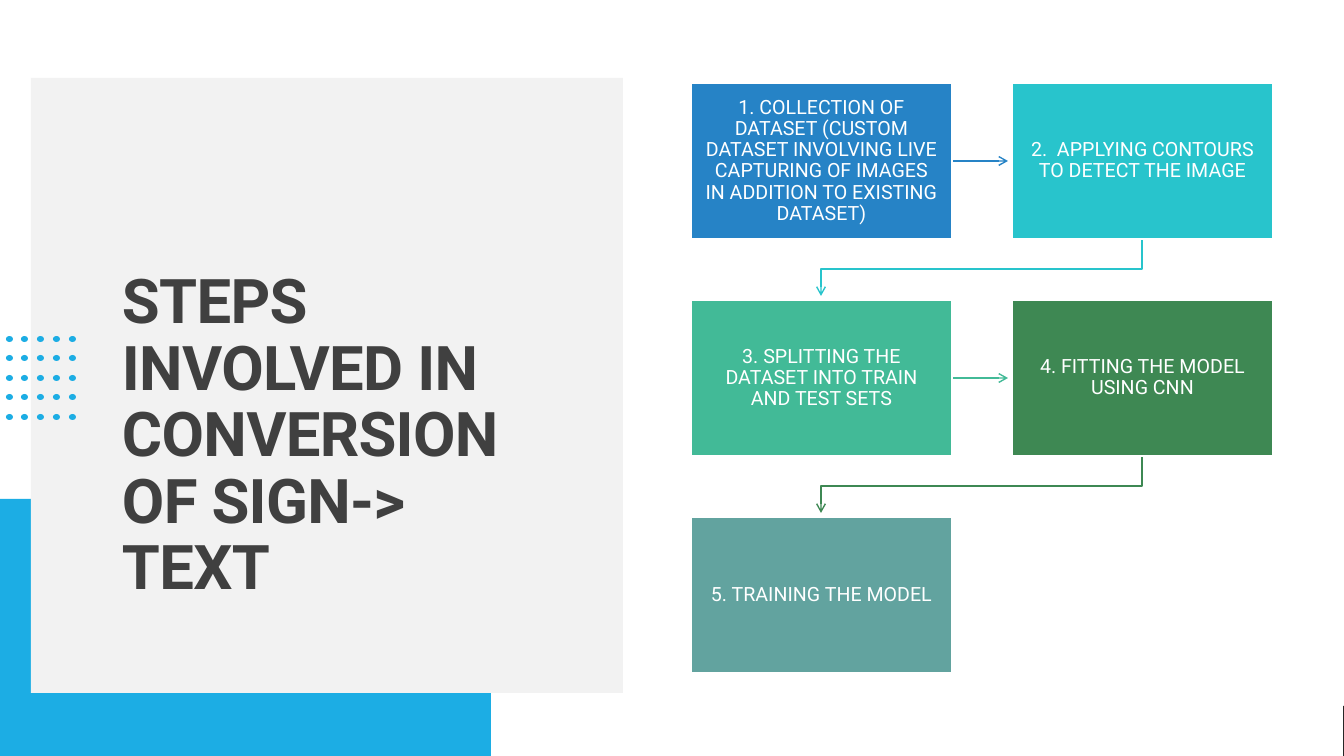
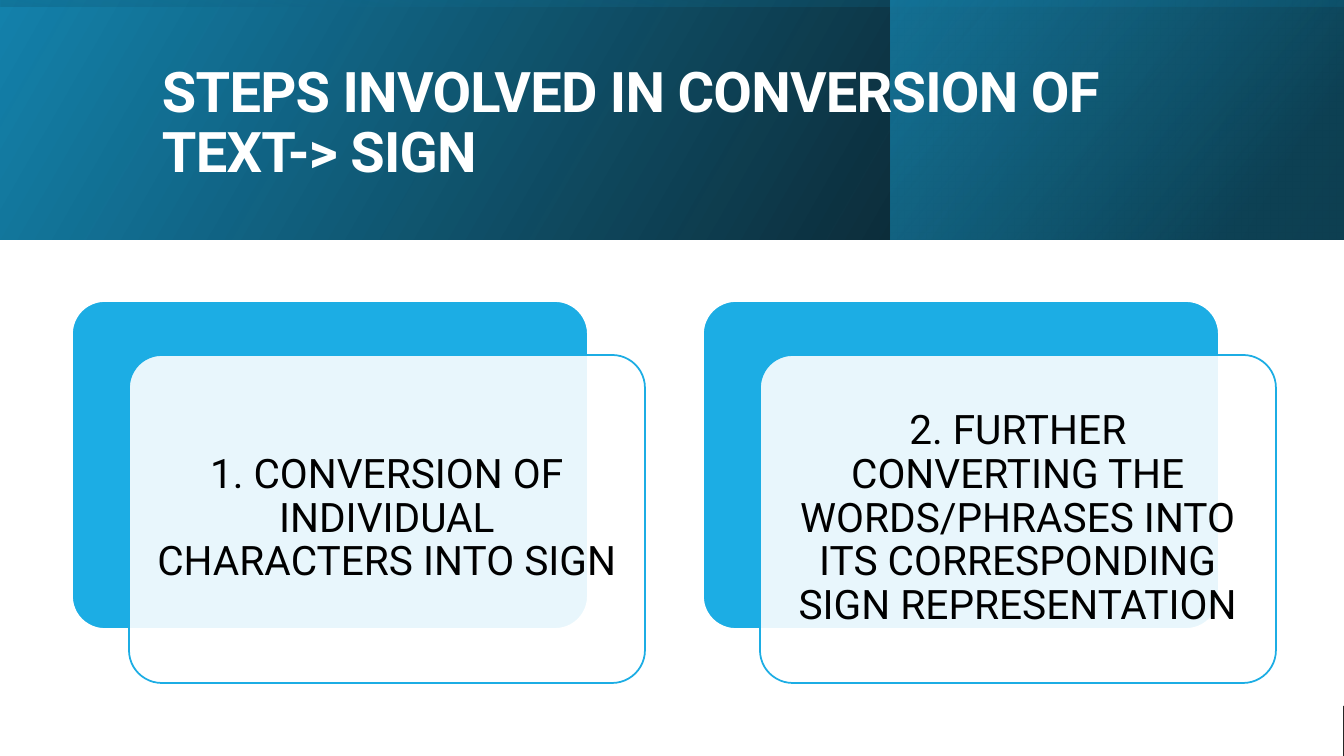
from itertools import product

from lxml.etree import SubElement
from pptx import Presentation
from pptx.dml.color import RGBColor
from pptx.enum.shapes import MSO_CONNECTOR, MSO_SHAPE
from pptx.enum.text import MSO_ANCHOR, PP_ALIGN
from pptx.oxml.ns import qn
from pptx.util import Emu, Pt

FONT = "Roboto"
SCALE = 914400 / 100.8
PAGE_WIDTH, PAGE_HEIGHT = 1344, 756
COLORS = {
    "white": "FFFFFF", "black": "000000", "footer": "262626", "panel": "F2F2F2",
    "title": "404040", "accent": "1CADE4", "deep": "1482AC", "teal": "0E5772",
    "blue": "2683C6", "cyan": "28C4CC", "mint": "42BA97", "green": "3E8853",
    "sage": "62A39F",
}
STEPS = [
    ("1. COLLECTION OF DATASET (CUSTOM DATASET INVOLVING LIVE CAPTURING OF IMAGES "
     "IN ADDITION TO EXISTING DATASET)", "blue"),
    ("2.\u00a0 APPLYING CONTOURS TO DETECT THE IMAGE".replace("\u00a0", chr(160)), "cyan"),
    ("3. SPLITTING THE DATASET INTO TRAIN AND TEST SETS", "mint"),
    ("4. FITTING THE MODEL USING CNN", "green"),
    ("5. TRAINING THE MODEL", "sage"),
]
CARDS = [
    "1. CONVERSION OF INDIVIDUAL CHARACTERS INTO SIGN",
    "2. FURTHER CONVERTING THE WORDS/PHRASES INTO ITS CORRESPONDING SIGN REPRESENTATION",
]


def px(length):
    """Turn px into EMU."""
    return Emu(round(length * SCALE))


def color(name):
    """Look up a named colour."""
    return RGBColor.from_string(COLORS[name])


def set_alpha(color_element, percent):
    """Make a colour element partly transparent."""
    SubElement(color_element, qn("a:alpha")).set("val", str(percent * 1000))


def add_box(page, box, fill, line=None, kind=MSO_SHAPE.RECTANGLE):
    """Add a flat preset shape."""
    shape = page.shapes.add_shape(kind, *map(px, box))
    shape.shadow.inherit = False
    shape.fill.solid()
    shape.fill.fore_color.rgb = color(fill)
    if line:
        shape.line.color.rgb = color(line)
        shape.line.width = Pt(1.25)
    else:
        shape.line.fill.background()
    return shape


def write(shape, text, size, ink, inset=(10, 5), anchor=MSO_ANCHOR.MIDDLE, align=PP_ALIGN.CENTER):
    """Write one wrapped paragraph into a shape and return its run."""
    frame = shape.text_frame
    frame.word_wrap = True
    frame.vertical_anchor = anchor
    frame.margin_left = frame.margin_right = px(inset[0])
    frame.margin_top = frame.margin_bottom = px(inset[1])
    para = frame.paragraphs[0]
    para.text = text
    para.alignment = align
    para.line_spacing = 0.9
    span = para.runs[0]
    span.font.name = FONT
    span.font.size = Pt(size)
    span.font.color.rgb = color(ink)
    return span


def add_title(page, box, text, size, ink, anchor):
    """Add a bold, slightly tightened title."""
    holder = page.shapes.add_textbox(*map(px, box))
    span = write(holder, text, size, ink, anchor=anchor, align=PP_ALIGN.LEFT)
    span.font.bold = True
    span.font._element.set("spc", "-50")


def add_page(deck):
    """Add a blank page with the footer band and its white cover."""
    page = deck.slides.add_slide(deck.slide_layouts[6])
    add_box(page, (0, 706, PAGE_WIDTH, 50), "footer")
    add_box(page, (0, 0, PAGE_WIDTH - 1, PAGE_HEIGHT), "white")
    return page


def style_arrow(arrow, ink):
    """Give a line its colour, width and open arrowhead."""
    arrow.line.color.rgb = color(ink)
    arrow.line.width = Pt(1)
    SubElement(arrow.line._get_or_add_ln(), qn("a:tailEnd")).set("type", "arrow")


def add_straight_arrow(page, start, end, ink):
    """Add a straight arrow between two points."""
    arrow = page.shapes.add_connector(MSO_CONNECTOR.STRAIGHT, *map(px, start + end))
    style_arrow(arrow, ink)
    SubElement(arrow._element.spPr, qn("a:effectLst"))


def add_bent_arrow(page, points, ink):
    """Add an arrow that follows the given corner points."""
    corners = [(px(x), px(y)) for x, y in points]
    builder = page.shapes.build_freeform(*corners[0])
    builder.add_line_segments(corners[1:], close=False)
    arrow = builder.convert_to_shape()
    arrow.fill.background()
    arrow.shadow.inherit = False
    style_arrow(arrow, ink)


def add_title_panel(page, box, text):
    """Add the grey title panel with its accent block and dot grid."""
    left, top, width, height = box
    add_box(page, (0, top + 421, 491, PAGE_HEIGHT - top - 421), "accent")
    add_box(page, box, "panel")
    add_title(page, (left + 81, top + 70, 463, 460), text, 44, "title", MSO_ANCHOR.BOTTOM)
    for column, row in product(range(5), repeat=2):
        dot = (left - 25 + column * 63 // 4, top + 258 + row * 78 // 4, 7, 6)
        add_box(page, dot, "accent", kind=MSO_SHAPE.OVAL)


def add_step_flow(page, box):
    """Add the two-column flow of steps joined by arrows."""
    left, top, width, height = box
    step_width, step_height = 261, 156
    column_pitch, row_pitch = width - step_width, (height - step_height) // 2
    for index, (text, fill) in enumerate(STEPS):
        row, column = divmod(index, 2)
        x, y = left + column * column_pitch, top + row * row_pitch
        middle, bottom = x + step_width // 2, y + step_height
        if column:
            target = middle - column_pitch
            corners = [(middle, bottom), (middle, bottom + 30),
                       (target, bottom + 30), (target, bottom + 57)]
            add_bent_arrow(page, corners, fill)
        elif index < len(STEPS) - 1:
            center = y + step_height // 2
            add_straight_arrow(page, (x + step_width, center), (x + column_pitch - 4, center), fill)
        step = add_box(page, (x, y, step_width, step_height), fill, "white")
        write(step, text, 14, "white", (13, 13))


def add_gradient(page, box, stops, angle, rotation=0):
    """Add a mirrored rectangle with a two-stop translucent gradient."""
    shape = add_box(page, box, "white")
    shape.rotation = rotation
    shape._element.spPr.find(qn("a:xfrm")).set("flipH", "1")
    shape.fill.gradient()
    shape.fill.gradient_angle = 360 - angle
    for stop, (position, name, opacity) in zip(shape.fill.gradient_stops, stops):
        stop.position = position / 100
        stop.color.rgb = color(name)
    for element, (position, name, opacity) in zip(shape._element.spPr.iter(qn("a:srgbClr")), stops):
        set_alpha(element, opacity)


def add_title_band(page, box, text):
    """Add the layered gradient band with its title."""
    left, top, width, height = box
    side = 452
    add_gradient(page, box, [(0, "black", 96), (100, "deep", 100)], 330)
    add_gradient(page, (left + width - side - 1, top, side, height),
                 [(19, "teal", 68), (100, "accent", 48)], 320)
    shift = (width - height) // 2
    add_gradient(page, (left + shift, top - shift, height, width),
                 [(23, "deep", 16), (99, "black", 45)], 350, 270)
    add_title(page, (left + 152, top + 38, 1072, 173), text, 40, "white", MSO_ANCHOR.MIDDLE)


def add_card(page, box, text):
    """Add a solid card with a translucent text card over it."""
    left, top, width, height = box
    back = add_box(page, box, "accent", "white", MSO_SHAPE.ROUNDED_RECTANGLE)
    front = add_box(page, (left + 57, top + 54, width, height), "white", "accent",
                    MSO_SHAPE.ROUNDED_RECTANGLE)
    for card in (back, front):
        card.adjustments[0] = 0.1
    set_alpha(front._element.spPr.find(qn("a:solidFill"))[0], 90)
    write(front, text, 29, "black", (12, 12))


def build_sign_to_text(deck):
    """Build the page on turning sign into text."""
    page = add_page(deck)
    add_title_panel(page, (31, 78, 592, 615), "STEPS INVOLVED IN CONVERSION OF SIGN-> TEXT")
    add_step_flow(page, (691, 83, 582, 590))


def build_text_to_sign(deck):
    """Build the page on turning text into sign."""
    page = add_page(deck)
    add_title_band(page, (0, 0, PAGE_WIDTH, 240), "STEPS INVOLVED IN CONVERSION OF TEXT-> SIGN")
    for index, text in enumerate(CARDS):
        add_card(page, (72 + index * 631, 301, 516, 328), text)


def main():
    """Build and save the deck."""
    deck = Presentation()
    deck.slide_width, deck.slide_height = px(PAGE_WIDTH), px(PAGE_HEIGHT)
    build_sign_to_text(deck)
    build_text_to_sign(deck)
    deck.save("out.pptx")


if __name__ == "__main__":
    main()
